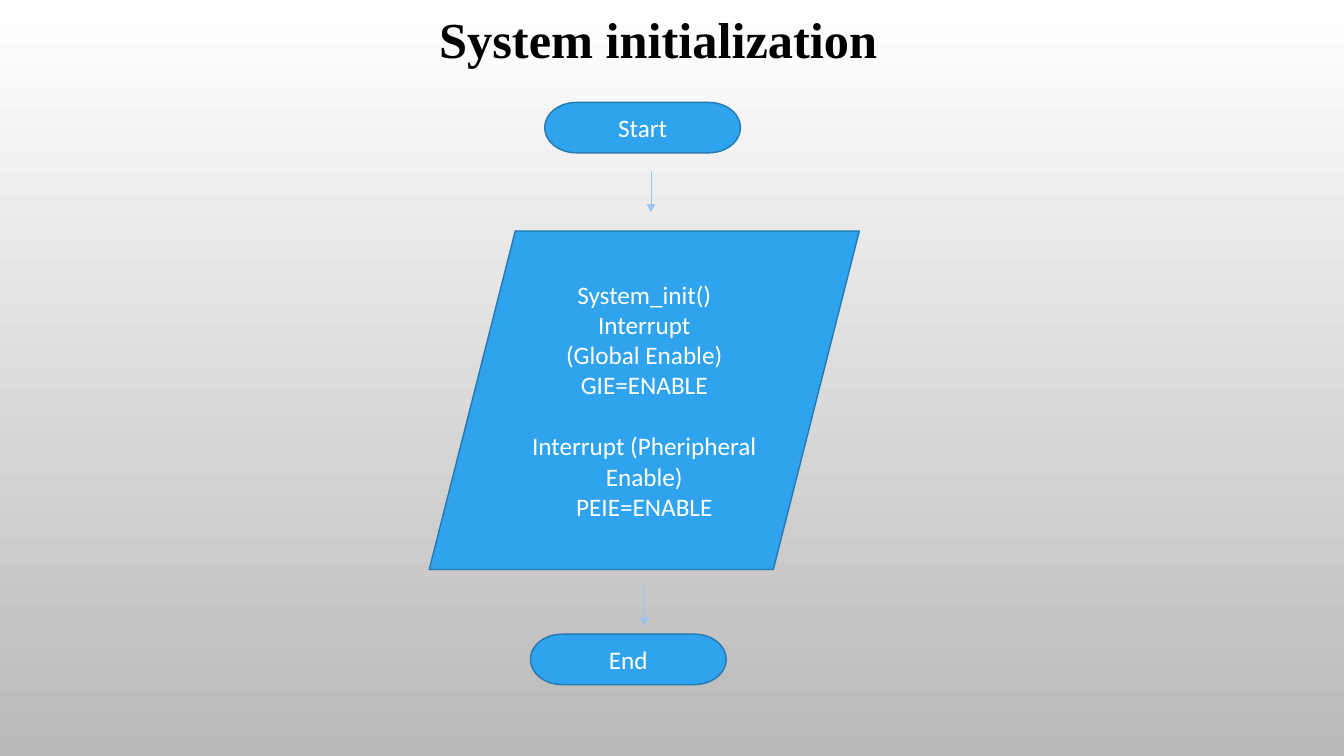
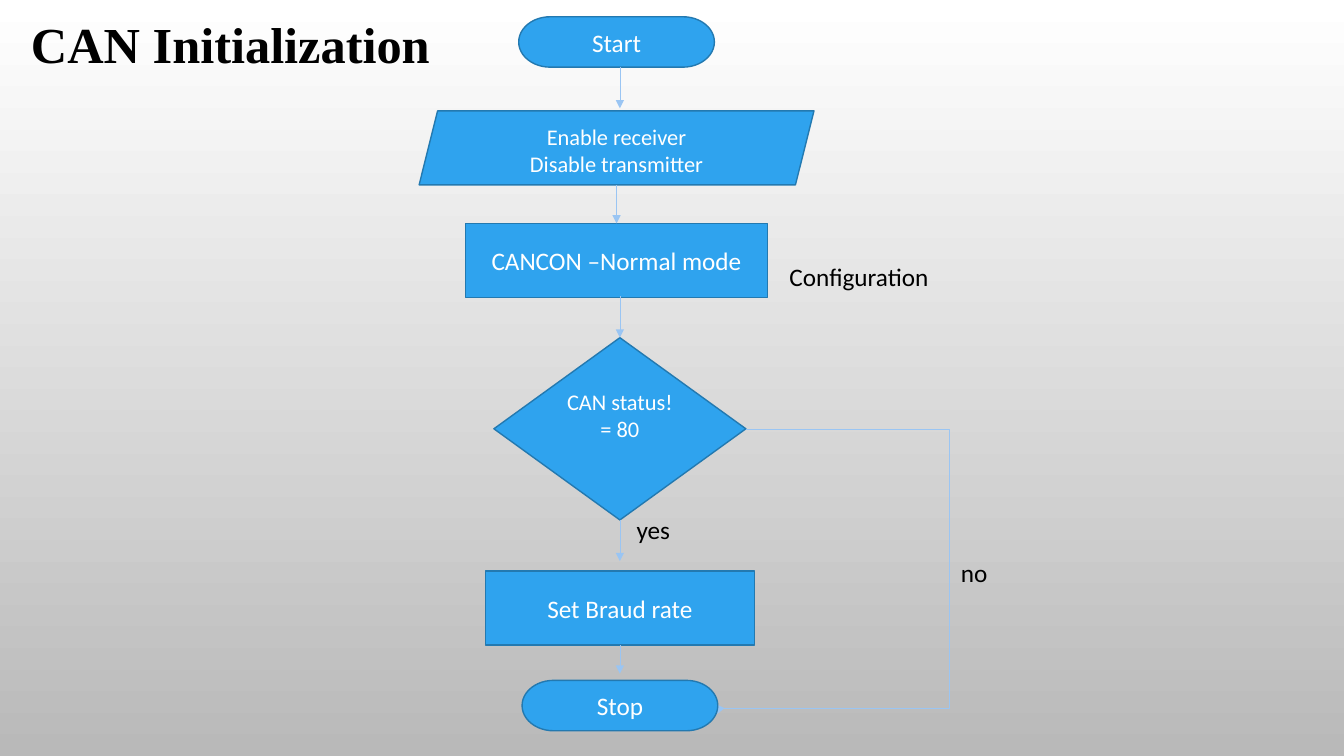
from dataclasses import dataclass

from lxml import etree
from pptx import Presentation, util as u
from pptx.dml.color import RGBColor
from pptx.enum import shapes, text
from pptx.oxml.ns import qn

MS = shapes.MSO_SHAPE
MC = shapes.MSO_CONNECTOR


@dataclass(frozen=True)
class Theme:
    node: str = "2FA3EE"
    border: str = "2379B0"
    arrow: str = "9AC5F3"
    light: str = "FFFFFF"
    dark: str = "000000"
    sky: tuple = ("FFFFFF", "B9B9B9")
    body_font: str = "Calibri"
    title_font: str = "Times New Roman"
    title: int = 36
    body: int = 18
    small: int = 16


T = Theme()
COLS, ROWS = 16, 9
TERMINATOR = (2.33, 0.6)
STEP = 0.88
ARROW = 0.49


def rgb(value):
    return RGBColor.from_string(value)


def style_text(tf, font, size, color, bold=False, align=None):
    for p in tf.paragraphs:
        p.alignment = align
        for r in p.runs:
            r.font.name, r.font.size, r.font.bold = font, u.Pt(size), bold
            r.font.color.rgb = rgb(color)


@dataclass
class Chart:
    slide: object
    box: tuple

    def x(self, cols):
        return u.Emu(int(self.box[0] + cols * self.box[2] / COLS))

    def y(self, rows):
        return u.Emu(int(self.box[1] + rows * self.box[3] / ROWS))

    def place(self, left, top, width, height):
        x, y = self.x(left), self.y(top)
        return x, y, self.x(left + width) - x, self.y(top + height) - y

    def node(self, kind, center, top, size, content, pt=T.body):
        width, height = size
        s = self.slide.shapes.add_shape(
            kind, *self.place(center - width / 2, top, width, height))
        s.shadow.inherit = False
        s.fill.solid()
        s.fill.fore_color.rgb = rgb(T.node)
        s.line.color.rgb = rgb(T.border)
        s.line.width = u.Pt(1)
        tf = s.text_frame
        tf.word_wrap = True
        tf.vertical_anchor = text.MSO_ANCHOR.MIDDLE
        tf.text = content
        style_text(tf, T.body_font, pt, T.light, align=text.PP_ALIGN.CENTER)
        return s

    def terminator(self, center, top, content):
        return self.node(MS.FLOWCHART_TERMINATOR, center, top, TERMINATOR, content)

    def title(self, left, top, width, content):
        tb = self.slide.shapes.add_textbox(*self.place(left, top, width, 0.85))
        tf = tb.text_frame
        tf.word_wrap = True
        tf.text = content
        style_text(tf, T.title_font, T.title, T.dark, bold=True)

    def label(self, left, top, width, content):
        tb = self.slide.shapes.add_textbox(*self.place(left, top, width, 0.48))
        tf = tb.text_frame
        tf.word_wrap = False
        tf.auto_size = text.MSO_AUTO_SIZE.SHAPE_TO_FIT_TEXT
        tf.text = content
        style_text(tf, T.body_font, T.body, T.dark)

    def connector(self, kind, x1, y1, x2, y2):
        c = self.slide.shapes.add_connector(
            kind, self.x(x1), self.y(y1), self.x(x2), self.y(y2))
        c.line.color.rgb = rgb(T.arrow)
        c.line.width = u.Pt(0.5)
        etree.SubElement(c.line._get_or_add_ln(), qn("a:tailEnd"), type="triangle")
        etree.SubElement(c._element.spPr, qn("a:effectLst"))
        return c

    def arrow(self, x, top, length=ARROW, start=None, end=None):
        c = self.connector(MC.STRAIGHT, x, top, x, top + length)
        if start is not None:
            c.begin_connect(start, 2)
        if end is not None:
            c.end_connect(end, 0)

    def detour(self, x1, y1, x2, y2, **bends):
        c = self.connector(MC.ELBOW, x1, y1, x2, y2)
        geom = c._element.spPr.find(qn("a:prstGeom"))
        geom.set("prst", "bentConnector4")
        guides = geom.find(qn("a:avLst"))
        if guides is None:
            guides = etree.SubElement(geom, qn("a:avLst"))
        for name, share in bends.items():
            etree.SubElement(guides, qn("a:gd"), name=name,
                             fmla=f"val {round(share * 100000)}")


def system_slide(slide, box):
    ch = Chart(slide, box)
    ch.title(5.11, 0.04, 6.66, "System initialization")
    ch.terminator(7.65, 1.22, "Start")
    ch.arrow(7.75, 2.04)
    init = ch.node(MS.FLOWCHART_DATA, 7.67, 2.75, (5.12, 4.03),
                   "System_init()\nInterrupt\n(Global Enable)\nGIE=ENABLE\n"
                   "Interrupt (Pheripheral Enable)\vPEIE=ENABLE")
    init.text_frame.paragraphs[-1].space_before = u.Pt(22)
    ch.arrow(7.67, 6.96)
    ch.terminator(7.48, 7.55, "End")


def can_slide(slide, box):
    ch = Chart(slide, box)
    upper, lower = 7.34, 7.38
    ch.title(0.25, 0.1, 5.04, "CAN Initialization")

    ch.terminator(upper, 0.2, "Start")
    receiver = ch.node(MS.PARALLELOGRAM, upper, 1.32, (4.7, STEP),
                       "Enable receiver\nDisable transmitter", T.small)
    receiver.text_frame.vertical_anchor = text.MSO_ANCHOR.TOP
    mode = ch.node(MS.RECTANGLE, upper, 2.66, (3.6, STEP), "CANCON –Normal mode")
    status = ch.node(MS.DIAMOND, lower, 4.02, (3, 2.17), "CAN status!= 80", T.small)
    status.text_frame.margin_bottom = u.Inches(0.32)
    rate = ch.node(MS.RECTANGLE, lower, 6.8, (3.2, STEP), "Set Braud rate")

    ch.arrow(lower, 0.8)
    ch.arrow(upper, 2.2, 0.46, end=mode)
    ch.arrow(lower, 3.53, end=status)
    ch.arrow(lower, 6.19, start=status)
    ch.arrow(lower, 7.68, 0.34, start=rate)
    ch.detour(8.88, 5.11, 8.54, 8.5, adj1=-7.13, adj2=0.98)
    ch.terminator(lower, 8.1, "Stop")

    ch.label(9.28, 3.05, 1.92, "Configuration")
    ch.label(7.46, 6.07, 0.65, "yes")
    ch.label(11.32, 6.58, 0.56, "no")


def paint_background(master):
    fill = master.background.fill
    fill.gradient()
    fill.gradient_angle = 270
    for stop, color in zip(fill.gradient_stops, T.sky):
        stop.color.rgb = rgb(color)


def main():
    prs = Presentation()
    prs.slide_width, prs.slide_height = u.Inches(13.33), u.Inches(7.5)
    paint_background(prs.slide_master)
    box = (0, 0, prs.slide_width, prs.slide_height)
    for build in (system_slide, can_slide):
        build(prs.slides.add_slide(prs.slide_layouts[6]), box)
    prs.save("out.pptx")


if __name__ == "__main__":
    main()
